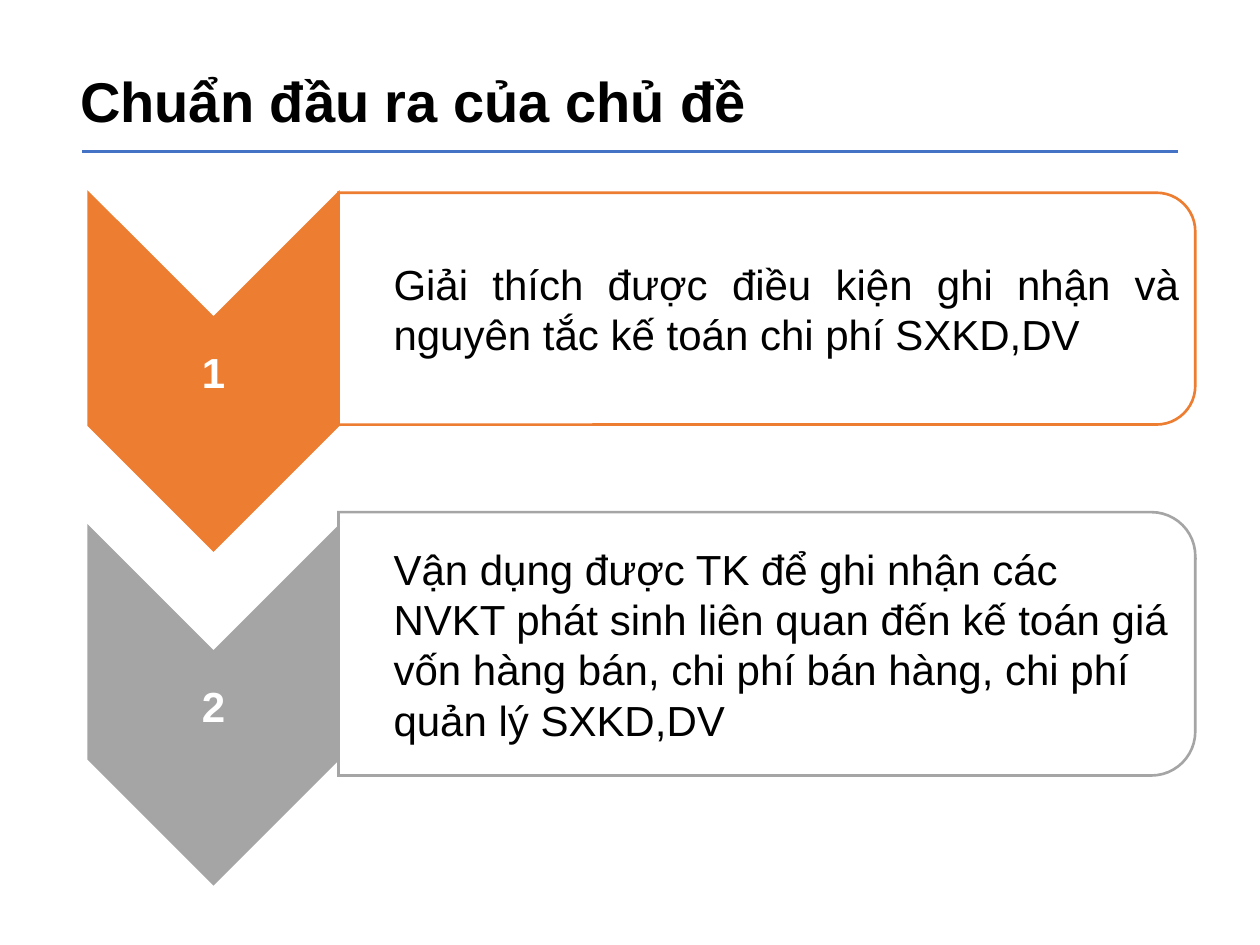
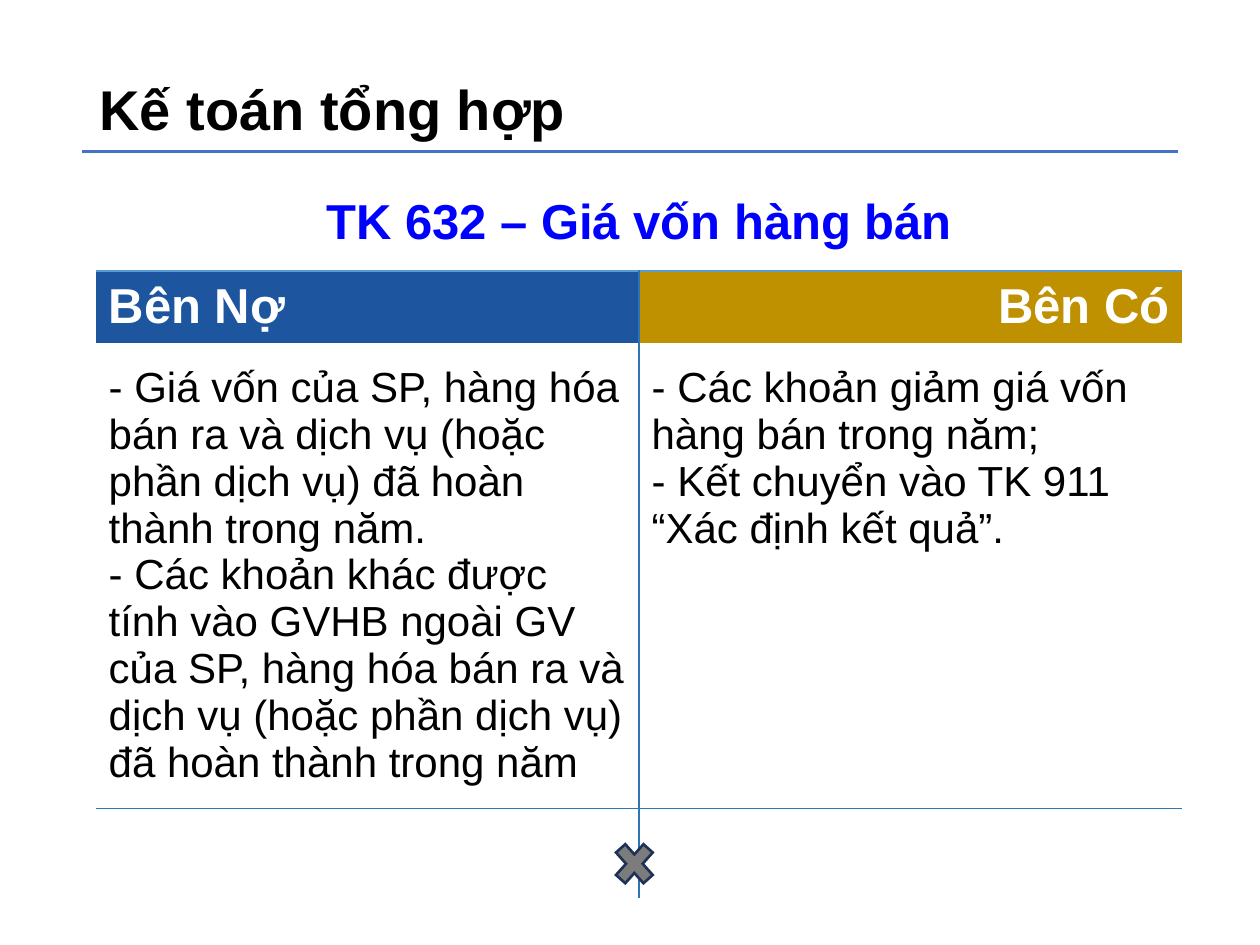
from lxml import etree
from pptx import Presentation
from pptx.dml.color import RGBColor
from pptx.enum.shapes import MSO_CONNECTOR, MSO_SHAPE
from pptx.enum.text import MSO_ANCHOR, MSO_AUTO_SIZE, PP_ALIGN
from pptx.oxml.ns import qn
from pptx.util import Pt

LEFT, CENTER, RIGHT = PP_ALIGN.LEFT, PP_ALIGN.CENTER, PP_ALIGN.RIGHT
JUSTIFY = PP_ALIGN.JUSTIFY
TOP, MIDDLE = MSO_ANCHOR.TOP, MSO_ANCHOR.MIDDLE
CHEVRON = MSO_SHAPE.CHEVRON
CARD = MSO_SHAPE.ROUND_2_SAME_RECTANGLE
CROSS = MSO_SHAPE.MATH_MULTIPLY
STRAIGHT = MSO_CONNECTOR.STRAIGHT

BLACK = RGBColor(0x00, 0x00, 0x00)
WHITE = RGBColor(0xFF, 0xFF, 0xFF)
BLUE = RGBColor(0x44, 0x72, 0xC4)
ORANGE = RGBColor(0xED, 0x7D, 0x31)
GREY = RGBColor(0xA5, 0xA5, 0xA5)
BRIGHT = RGBColor(0x00, 0x00, 0xFF)
DEBIT = RGBColor(0x1D, 0x55, 0x9F)
CREDIT = RGBColor(0xBF, 0x90, 0x00)
SKY = RGBColor(0x5B, 0x9B, 0xD5)
STEEL = RGBColor(0x2E, 0x75, 0xB6)
DARK = RGBColor(0x7C, 0x7C, 0x7C)
NAVY = RGBColor(0x1E, 0x32, 0x56)

FONT = "Arial"
PLAIN_TABLE = "{2D5ABB26-0587-4C30-8999-92F81FD0307C}"

# number, colour, chevron middle, card middle, card height, alignment, text
GOALS = [
    ("1", ORANGE, 212.4, 176.4, 132.5, JUSTIFY,
     "Giải thích được điều kiện ghi nhận và nguyên tắc kế toán "
     "chi phí SXKD,DV"),
    ("2", GREY, 403.2, 367.9, 150.5, LEFT,
     "Vận dụng được TK để ghi nhận các NVKT phát sinh liên quan đến "
     "kế toán giá vốn hàng bán, chi phí bán hàng, chi phí quản lý SXKD,DV"),
]
DEBITS = [
    "- Giá vốn của SP, hàng hóa bán ra và dịch vụ (hoặc phần dịch vụ) "
    "đã hoàn thành trong năm.",
    "- Các khoản khác được tính vào GVHB ngoài GV của SP, hàng hóa bán ra "
    "và dịch vụ (hoặc phần dịch vụ) đã hoàn thành trong năm",
]
CREDITS = [
    "- Các khoản giảm giá vốn hàng bán trong năm;",
    "- Kết chuyển vào TK 911 “Xác định kết quả”.",
]


def write(frame, lines, size, color=BLACK, bold=False, align=LEFT, space=1.0):
    frame.text = "\n".join(lines)
    for para in frame.paragraphs:
        para.alignment = align
        para.line_spacing = space
        font = para.font
        font.name, font.size, font.bold = FONT, Pt(size), bold
        font.color.rgb = color


def add_page(deck, title, left, top, width, height, space):
    """Add a slide with the blue rule and its title."""
    slide = deck.slides.add_slide(deck.slide_layouts[5])
    rule = slide.shapes.add_connector(
        STRAIGHT, Pt(46.8), Pt(86.7), Pt(673.2), Pt(86.7))
    rule.line.color.rgb, rule.line.width = BLUE, Pt(1.5)
    etree.SubElement(rule._element.spPr, qn("a:effectLst"))
    head = slide.shapes.title
    head.left, head.top = Pt(left), Pt(top)
    head.width, head.height = Pt(width), Pt(height)
    frame = head.text_frame
    frame.auto_size, frame.vertical_anchor = MSO_AUTO_SIZE.NONE, MIDDLE
    write(frame, [title], 32, bold=True, space=space)
    return slide


def add_solid(slide, kind, mid_x, mid_y, width, height, fill, line, turn=0):
    """Add a preset shape by its centre and its size before turning."""
    shape = slide.shapes.add_shape(
        kind, Pt(mid_x - width / 2), Pt(mid_y - height / 2),
        Pt(width), Pt(height))
    shape.rotation = turn
    shape.shadow.inherit = False
    shape.fill.solid()
    shape.fill.fore_color.rgb = fill
    shape.line.color.rgb, shape.line.width = line, Pt(1.5)
    edge = shape._element.spPr.find(qn("a:ln"))
    etree.SubElement(edge, qn("a:miter"), lim="800000")
    return shape


def add_label(slide, left, mid_y, width, height, inset, text, **style):
    box = slide.shapes.add_textbox(
        Pt(left), Pt(mid_y - height / 2), Pt(width), Pt(height))
    frame = box.text_frame
    frame.word_wrap, frame.vertical_anchor = True, MIDDLE
    frame.margin_left = Pt(inset)
    frame.margin_right = frame.margin_top = frame.margin_bottom = Pt(1.5)
    write(frame, [text], 24, **style)


def add_goal(slide, number, color, mid, card_mid, height, align, text):
    add_solid(slide, CHEVRON, 122, mid, 203.8, 142.6, color, color, 90)
    add_label(slide, 50.7, mid, 142.6, 61.2, 1.5, number,
              color=WHITE, bold=True, align=CENTER)
    card = add_solid(slide, CARD, 438.2, card_mid, height, 489.6,
                     WHITE, color, 90)
    tint = card._element.spPr.find(qn("a:solidFill"))[0]
    etree.SubElement(tint, qn("a:alpha"), val="90000")
    add_label(slide, 193.4, card_mid, 482, height - 13, 31.5, text,
              align=align)


def set_cell(cell, fill=None, **edges):
    """Draw the named edges (L, R, T, B; None hides one) and fill the cell."""
    props = cell._tc.get_or_add_tcPr()
    for side in "LRTB":
        if side in edges:
            line = etree.SubElement(props, qn("a:ln" + side), w=str(Pt(1)))
            if edges[side] is None:
                etree.SubElement(line, qn("a:noFill"))
            else:
                solid = etree.SubElement(line, qn("a:solidFill"))
                etree.SubElement(solid, qn("a:srgbClr"), val=str(edges[side]))
    if fill is None:
        cell.fill.background()
    else:
        cell.fill.solid()
        cell.fill.fore_color.rgb = fill


def add_ledger(slide):
    """Add the T-account table."""
    heights = [55.4, 41, 266.2, 51.2]
    table = slide.shapes.add_table(
        4, 2, Pt(54.9), Pt(99.4), Pt(620.6), Pt(sum(heights))).table
    table.first_row = table.horz_banding = False
    table._tbl.tblPr.find(qn("a:tableStyleId")).text = PLAIN_TABLE
    for row, height in zip(table.rows, heights):
        row.height = Pt(height)

    name = table.cell(0, 0)
    name.merge(table.cell(0, 1))
    name.vertical_anchor = MIDDLE
    write(name.text_frame, ["TK 632 – Giá vốn hàng bán"], 28, BRIGHT, True,
          CENTER)
    for col in range(2):
        set_cell(table.cell(0, col), B=SKY)

    sides = [("Bên Nợ", DEBIT, LEFT, DEBITS, "R"),
             ("Bên Có", CREDIT, RIGHT, CREDITS, "L")]
    for col, (label, fill, align, items, inner) in enumerate(sides):
        head, body, foot = [table.cell(row, col) for row in (1, 2, 3)]
        middle = {inner: STEEL}
        set_cell(head, fill, T=SKY, B=None, **middle)
        set_cell(body, T=None, B=STEEL, **middle)
        set_cell(foot, T=STEEL, **middle)
        head.vertical_anchor, body.vertical_anchor = MIDDLE, TOP
        body.margin_top = Pt(12.6)
        write(head.text_frame, [label], 28, WHITE, True, align)
        write(body.text_frame, items, 24)


def main():
    deck = Presentation()
    deck.slide_width, deck.slide_height = Pt(720), Pt(540)

    goals = add_page(deck, "Chuẩn đầu ra của chủ đề", 38.6, 34.2, 402.5, 46,
                     1.0)
    for goal in GOALS:
        add_goal(goals, *goal)

    ledger = add_page(deck, "Kế toán tổng hợp", 49.7, 28.8, 620.6, 70.6, 0.9)
    add_ledger(ledger)
    add_solid(ledger, CROSS, 362.5, 493.6, 30.2, 33.8, DARK, NAVY)

    deck.save("out.pptx")


if __name__ == "__main__":
    main()
